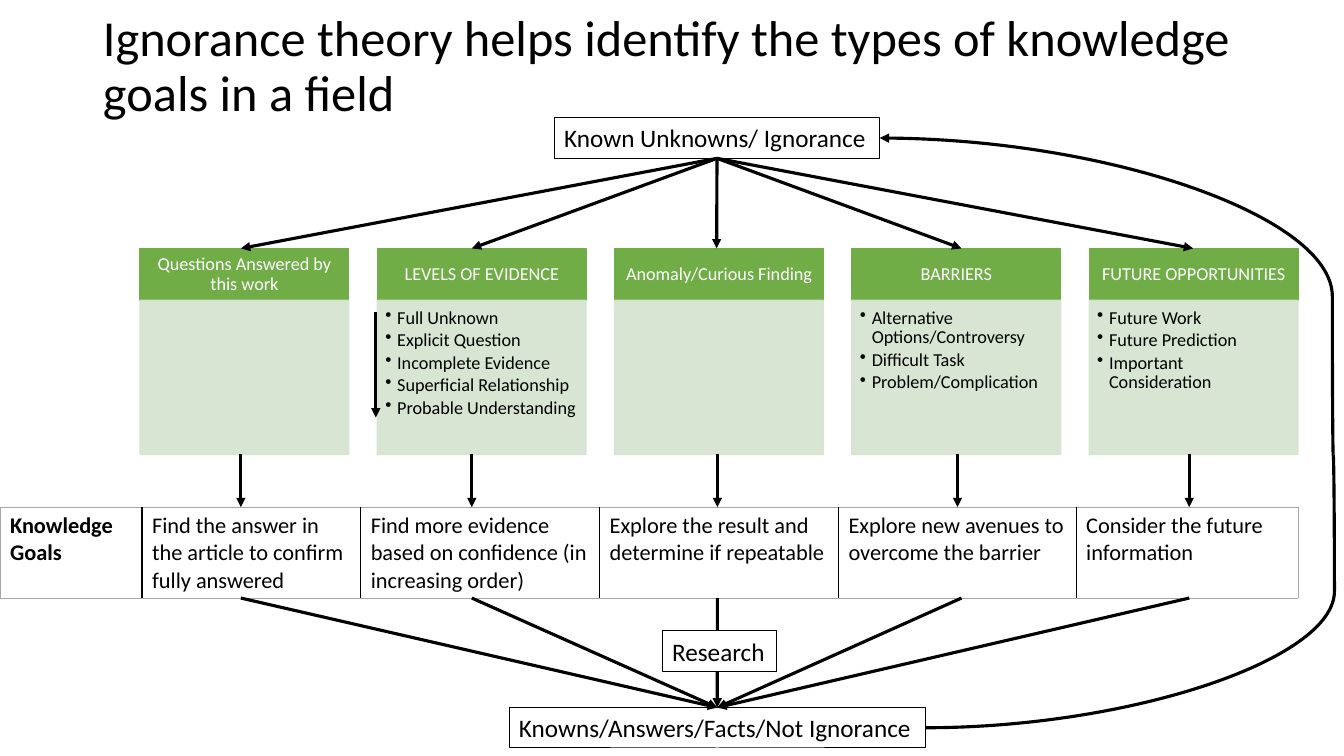
from lxml.etree import SubElement
from pptx import Presentation
from pptx.dml.color import RGBColor
from pptx.enum.shapes import MSO_CONNECTOR as Link, MSO_SHAPE as Preset
from pptx.enum.text import MSO_ANCHOR as Anchor, MSO_AUTO_SIZE as AutoSize, PP_ALIGN as Align
from pptx.oxml.ns import qn
from pptx.util import Cm, Pt

COLORS = {"ink": "000000", "paper": "FFFFFF", "header": "70AD47", "panel": "D5E3CF", "edge": "A6A6A6"}

CATEGORIES = [
    ("Questions Answered by this work", []),
    ("LEVELS OF EVIDENCE", ["Full Unknown", "Explicit Question", "Incomplete Evidence",
                            "Superficial Relationship", "Probable Understanding"]),
    ("Anomaly/Curious Finding", []),
    ("BARRIERS", ["Alternative Options/Controversy", "Difficult Task", "Problem/Complication"]),
    ("FUTURE OPPORTUNITIES", ["Future Work", "Future Prediction", "Important Consideration"]),
]
GOALS = [
    "Knowledge\nGoals",
    "Find the answer in the article to confirm fully answered",
    "Find more evidence based on confidence (in increasing order)",
    "Explore the result and determine if repeatable",
    "Explore new avenues to overcome the barrier",
    "Consider the future information",
]
GOAL_WIDTHS = [3.58, 5.51, 6.02, 6.02, 5.99, 5.59]
HEADER_ENDS = [6.07, 11.89, 18.06, 24.23, 30.07]
PANEL_EXITS = [6.07, 11.89, 18.08, 24.13, 29.97]
GOAL_EXITS = [6.07, 11.89, 18.08, 24.23, 29.97]

COLUMN_LEFT, COLUMN_STEP, COLUMN_WIDTH = 3.53, 5.98, 5.26
HEADER_TOP, HEADER_HEIGHT, PANEL_HEIGHT = 6.27, 1.3, 3.88
PANEL_TOP = HEADER_TOP + HEADER_HEIGHT
PANEL_BOTTOM = PANEL_TOP + PANEL_HEIGHT
GOAL_TOP, GOAL_HEIGHT = 12.78, 2.29


def color(name):
    return RGBColor.from_string(COLORS[name])


class SlideBuilder:
    font = "Calibri"

    def __init__(self, page):
        self.page = page

    def style(self, para, size, ink="ink", bold=False):
        para.font.name = self.font
        para.font.size = Pt(size)
        para.font.bold = bold
        para.font.color.rgb = color(ink)

    def margins(self, frame, left, top, right, bottom):
        frame.margin_left, frame.margin_top = Cm(left), Cm(top)
        frame.margin_right, frame.margin_bottom = Cm(right), Cm(bottom)

    def title(self, text, left, top, width, height):
        title = self.page.shapes.title
        title.left, title.top, title.width, title.height = map(Cm, (left, top, width, height))
        frame = title.text_frame
        frame.text = text
        frame.word_wrap = True
        frame.auto_size = AutoSize.NONE
        frame.vertical_anchor = Anchor.MIDDLE
        para = frame.paragraphs[0]
        para.alignment = Align.LEFT
        para.line_spacing = 0.9
        self.style(para, 36)

    def block(self, fill, left, top, width, height):
        block = self.page.shapes.add_shape(Preset.RECTANGLE, *map(Cm, (left, top, width, height)))
        block.shadow.inherit = False
        block.fill.solid()
        block.fill.fore_color.rgb = color(fill)
        block.line.color.rgb = color(fill)
        block.line.width = Pt(1)
        block.text_frame.word_wrap = True
        return block

    def header(self, text, left):
        frame = self.block("header", left, HEADER_TOP, COLUMN_WIDTH, HEADER_HEIGHT).text_frame
        self.margins(frame, 0.25, 0.15, 0.25, 0.15)
        frame.vertical_anchor = Anchor.MIDDLE
        frame.text = text
        para = frame.paragraphs[0]
        para.alignment = Align.CENTER
        para.line_spacing = 0.9
        self.style(para, 13, "paper")

    def panel(self, items, left):
        block = self.block("panel", left, PANEL_TOP, COLUMN_WIDTH, PANEL_HEIGHT)
        for tint in block._element.spPr.iter(qn("a:srgbClr")):
            SubElement(tint, qn("a:alpha"), val="90000")
        if not items:
            return
        frame = block.text_frame
        self.margins(frame, 0.2, 0.2, 0.25, 0.28)
        frame.vertical_anchor = Anchor.TOP
        frame.text = "\n".join(items)
        for para in frame.paragraphs:
            para.alignment = Align.LEFT
            para.line_spacing = 0.9
            para.space_after = Pt(2)
            properties = para._p.get_or_add_pPr()
            properties.set("marL", str(Cm(0.3)))
            properties.set("indent", str(-Cm(0.3)))
            SubElement(properties, qn("a:buChar"), char="•")
            self.style(para, 13)

    def label(self, text, left, top, width, height=1.02):
        box = self.page.shapes.add_textbox(*map(Cm, (left, top, width, height)))
        box.fill.solid()
        box.fill.fore_color.rgb = color("paper")
        box.line.color.rgb = color("ink")
        box.line.width = Pt(0.75)
        frame = box.text_frame
        frame.word_wrap = False
        frame.auto_size = AutoSize.SHAPE_TO_FIT_TEXT
        frame.text = text
        self.style(frame.paragraphs[0], 18)
        return box

    def border(self, cell, side, ink, width):
        line = SubElement(cell._tc.get_or_add_tcPr(), qn(f"a:ln{side}"), w=str(Pt(width)))
        SubElement(SubElement(line, qn("a:solidFill")), qn("a:srgbClr"), val=COLORS[ink])

    def goal_table(self, texts, widths, top, height):
        frame = self.page.shapes.add_table(1, len(texts), 0, Cm(top), Cm(sum(widths)), Cm(height))
        table = frame.table
        table.first_row = table.horz_banding = False
        table.rows[0].height = Cm(height)
        outer, inner = ("edge", 0.5), ("ink", 1)
        last = len(texts) - 1
        for index, (text, width) in enumerate(zip(texts, widths)):
            table.columns[index].width = Cm(width)
            cell = table.cell(0, index)
            self.border(cell, "L", *(inner if index else outer))
            self.border(cell, "R", *(inner if index < last else outer))
            self.border(cell, "T", *outer)
            self.border(cell, "B", *outer)
            cell.fill.background()
            cell.text = text
            for para in cell.text_frame.paragraphs:
                self.style(para, 16, bold=index == 0)

    def connector(self, start, end, kind=Link.STRAIGHT, arrow=True, bend=None):
        line = self.page.shapes.add_connector(kind, *map(Cm, (*start, *end)))
        line.line.color.rgb = color("ink")
        line.line.width = Pt(2.25)
        properties = line._element.spPr
        if arrow:
            SubElement(properties.find(qn("a:ln")), qn("a:tailEnd"), type="triangle")
        if bend is not None:
            guides = properties.find(qn("a:prstGeom")).get_or_add_avLst()
            SubElement(guides, qn("a:gd"), name="adj1", fmla=f"val {bend}")
        SubElement(properties, qn("a:effectLst"))
        return line


def main():
    deck = Presentation()
    deck.slide_width, deck.slide_height = Cm(33.87), Cm(19.05)
    slide = SlideBuilder(deck.slides.add_slide(deck.slide_layouts[5]))
    slide.title("Ignorance theory helps identify the types of knowledge goals in a field",
                2.34, -0.13, 29.21, 3.68)

    for index, (name, items) in enumerate(CATEGORIES):
        left = COLUMN_LEFT + index * COLUMN_STEP
        slide.header(name, left)
        slide.panel(items, left)

    unknowns = slide.label("Known Unknowns/ Ignorance", 13.97, 2.97, 8.2)
    knowns = slide.label("Knowns/Answers/Facts/Not Ignorance", 12.83, 17.83, 10.49)
    slide.goal_table(GOALS, GOAL_WIDTHS, GOAL_TOP, GOAL_HEIGHT)

    for x in HEADER_ENDS:
        slide.connector((18.07, 3.99), (x, 6.26)).begin_connect(unknowns, 2)
    slide.connector((9.47, 7.87), (9.47, 10.52))
    for x in PANEL_EXITS:
        slide.connector((x, PANEL_BOTTOM), (x, GOAL_TOP))
    for x in GOAL_EXITS:
        slide.connector((x, GOAL_TOP + GOAL_HEIGHT), (18.08, 17.83)).end_connect(knowns, 0)
    slide.label("Research", 16.69, 15.9, 2.87)

    turn = (33.6, 11.46)
    slide.connector((23.32, 18.34), turn, Link.CURVE, arrow=False, bend=100300)
    slide.connector(turn, (22.17, 3.48), Link.CURVE, bend=200)
    deck.save("out.pptx")


if __name__ == "__main__":
    main()
